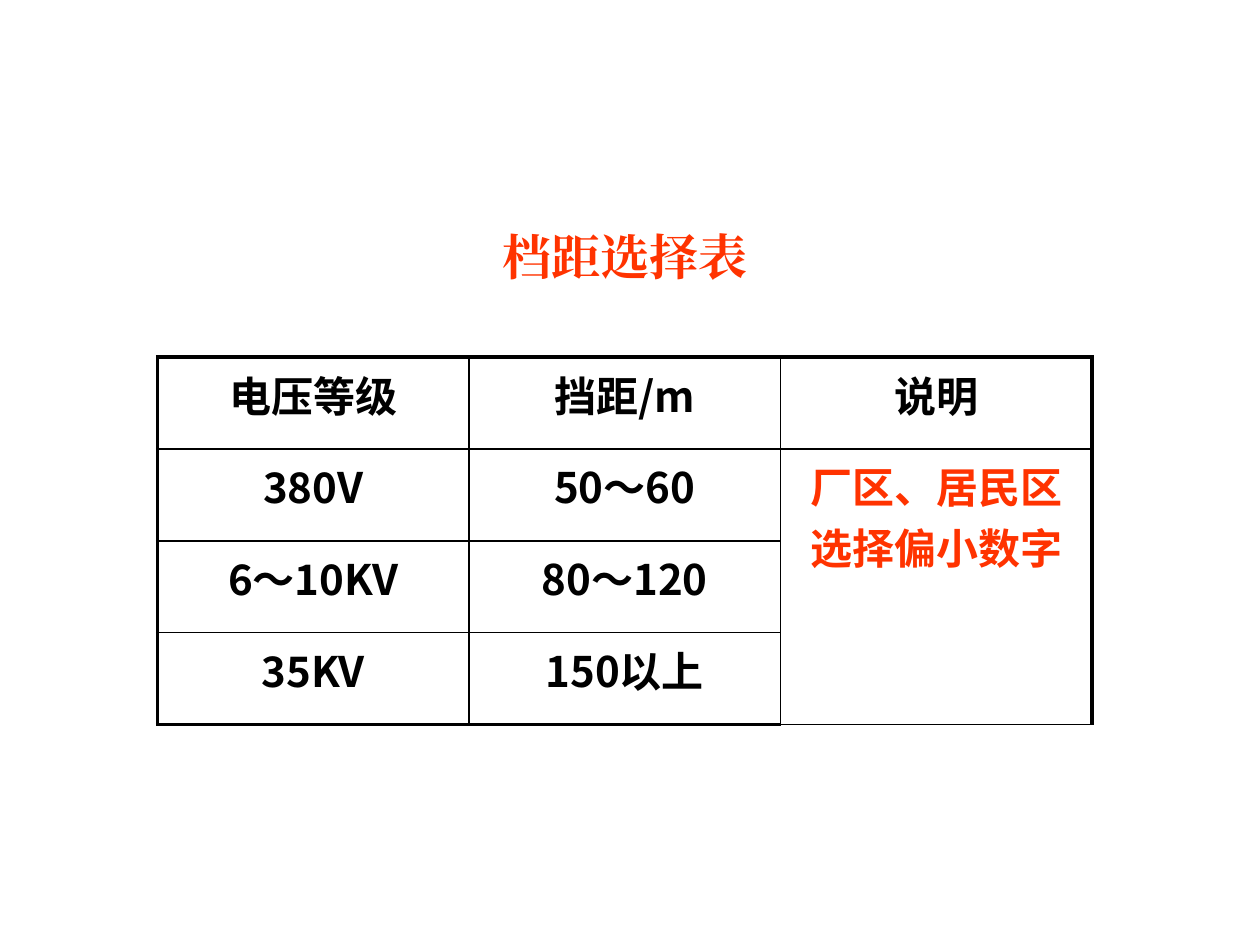
from lxml import etree
from pptx import Presentation
from pptx.dml.color import RGBColor
from pptx.enum import text
from pptx.oxml import ns
from pptx.util import Pt

BLACK = RGBColor(0x00, 0x00, 0x00)
RED = RGBColor(0xFF, 0x33, 0x00)
SANS = "Noto Sans CJK SC"
SERIF = "Times New Roman"
THICK, THIN = 2.25, 1

ROWS = [
    ["电压等级", "挡距/m", "说明"],
    ["380V", "50～60", "厂区、居民区选择偏小数字"],
    ["6～10KV", "80～120", ""],
    ["35KV", "150以上", ""],
]


class Page:
    def __init__(self, slide):
        self.slide = slide

    def style(self, frame, words, font, size, color):
        frame.text = words
        para = frame.paragraphs[0]
        para.alignment = text.PP_ALIGN.CENTER
        for run in para.runs:
            run.font.name = font
            run.font.size = Pt(size)
            run.font.bold = True
            run.font.color.rgb = color
            east = etree.SubElement(run.font._element, ns.qn("a:ea"))
            east.set("typeface", font)

    def title(self, words, left, top, width, height):
        box = self.slide.shapes.add_textbox(
            Pt(left), Pt(top), Pt(width), Pt(height))
        frame = box.text_frame
        frame.word_wrap = True
        frame.auto_size = text.MSO_AUTO_SIZE.SHAPE_TO_FIT_TEXT
        self.style(frame, words, SERIF, 28, RED)

    def edge(self, cell, side, width):
        """Draw one border of a cell; side is L, R, T or B."""
        props = cell._tc.get_or_add_tcPr()
        line = etree.SubElement(props, ns.qn("a:ln" + side), w=str(Pt(width)))
        fill = etree.SubElement(line, ns.qn("a:solidFill"))
        etree.SubElement(fill, ns.qn("a:srgbClr"), val=str(BLACK))

    def table(self, rows, left, top, width, height):
        down, across = len(rows), len(rows[0])
        grid = self.slide.shapes.add_table(
            down, across, Pt(left), Pt(top), Pt(width), Pt(height)).table
        grid.first_row = grid.horz_banding = False
        for r, row in enumerate(rows):
            for c, words in enumerate(row):
                cell = grid.cell(r, c)
                note = r > 0 and c == across - 1
                if words:
                    self.style(cell.text_frame, words, SANS, 24,
                               RED if note else BLACK)
                outer = {"L": c == 0, "R": c == across - 1,
                         "T": r == 0, "B": r == down - 1}
                for side, rim in outer.items():
                    self.edge(cell, side, THICK if rim else THIN)
                cell.fill.background()
        grid.cell(1, across - 1).merge(grid.cell(down - 1, across - 1))


def main():
    deck = Presentation()
    deck.slide_width, deck.slide_height = Pt(720), Pt(540)
    page = Page(deck.slides.add_slide(deck.slide_layouts[6]))
    page.table(ROWS, 90, 204, 534, 210)
    page.title("档距选择表", 156, 126, 402, 41)
    deck.save("out.pptx")


if __name__ == "__main__":
    main()
